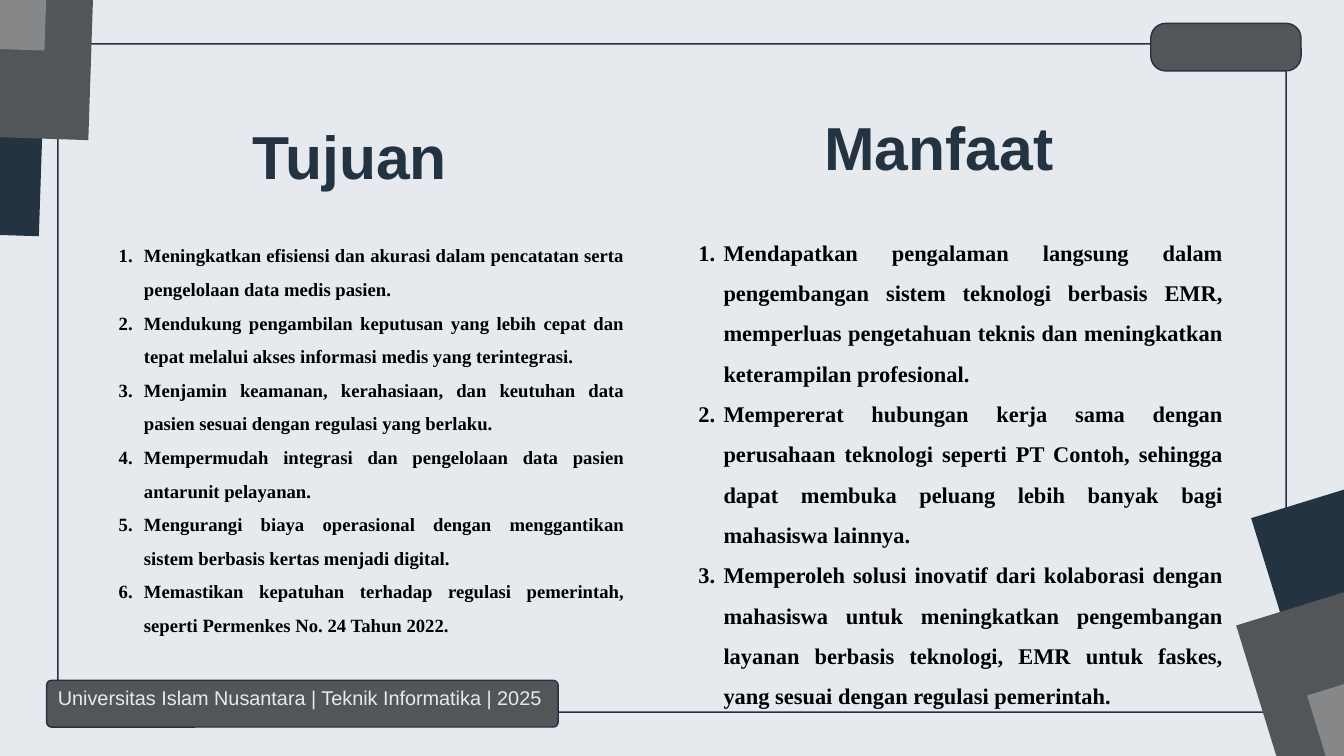
from lxml import etree
from pptx import Presentation
from pptx.dml.color import RGBColor
from pptx.enum.shapes import MSO_SHAPE
from pptx.enum.text import MSO_ANCHOR, MSO_AUTO_SIZE, PP_ALIGN
from pptx.oxml.ns import qn
from pptx.util import Pt

RECTANGLE, ROUNDED = MSO_SHAPE.RECTANGLE, MSO_SHAPE.ROUNDED_RECTANGLE
TOP, FIT = MSO_ANCHOR.TOP, MSO_AUTO_SIZE.SHAPE_TO_FIT_TEXT
LEFT, CENTER, JUSTIFY = PP_ALIGN.LEFT, PP_ALIGN.CENTER, PP_ALIGN.JUSTIFY
PAPER, NAVY, SLATE, GREY, BLACK = "E6EAEF", "243342", "535659", "858789", "000000"
SANS, SERIF = "Arial", "Times New Roman"

GOALS = [
    "Meningkatkan efisiensi dan akurasi dalam pencatatan serta pengelolaan data medis pasien.",
    "Mendukung pengambilan keputusan yang lebih cepat dan tepat melalui akses informasi medis yang terintegrasi.",
    "Menjamin keamanan, kerahasiaan, dan keutuhan data pasien sesuai dengan regulasi yang berlaku.",
    "Mempermudah integrasi dan pengelolaan data pasien antarunit pelayanan.",
    "Mengurangi biaya operasional dengan menggantikan sistem berbasis kertas menjadi digital.",
    "Memastikan kepatuhan terhadap regulasi pemerintah, seperti Permenkes No. 24 Tahun 2022.",
]
BENEFITS = [
    "Mendapatkan pengalaman langsung dalam pengembangan sistem teknologi berbasis EMR, memperluas "
    "pengetahuan teknis dan meningkatkan keterampilan profesional.",
    "Mempererat hubungan kerja sama dengan perusahaan teknologi seperti PT Contoh, sehingga dapat "
    "membuka peluang lebih banyak bagi mahasiswa lainnya.",
    "Memperoleh solusi inovatif dari kolaborasi dengan mahasiswa untuk meningkatkan pengembangan "
    "layanan berbasis teknologi, EMR untuk faskes, yang sesuai dengan regulasi pemerintah.",
]


def color(hex_string):
    """Turn a hex string into a colour."""
    return RGBColor.from_string(hex_string)


def place(shape, box):
    """Move a shape to a box of left, top, width and height in points."""
    shape.left, shape.top, shape.width, shape.height = map(Pt, box)


def add_block(slide, preset, box, fill):
    """Add a flat filled shape without an outline."""
    block = slide.shapes.add_shape(preset, *map(Pt, box))
    block.shadow.inherit = False
    block.fill.solid()
    block.fill.fore_color.rgb = color(fill)
    block.line.fill.background()
    return block


def add_panel(slide, box, fill, radius):
    """Add an outlined panel with corners of the given radius."""
    panel = add_block(slide, ROUNDED, box, fill)
    panel.adjustments[0] = radius / min(box[2:])
    panel.line.color.rgb = color(NAVY)
    panel.line.width = Pt(1.5)


def add_corner(slide, corners, angle):
    """Stack three tilted squares in navy, slate and grey."""
    for (left, top), fill in zip(corners, (NAVY, SLATE, GREY)):
        square = add_block(slide, RECTANGLE, (left, top, 437, 439), fill)
        square.rotation = angle


def prepare_frame(frame, margin):
    """Make a text frame wrap, start at the top and fit its text."""
    frame.word_wrap = True
    frame.vertical_anchor = TOP
    frame.auto_size = FIT
    frame.margin_left = frame.margin_right = Pt(2 * margin)
    frame.margin_top = frame.margin_bottom = Pt(margin)


def style_paragraph(paragraph, align, spacing, size, family, fill, bold):
    """Set the alignment, line spacing and font of a paragraph."""
    paragraph.alignment = align
    paragraph.line_spacing = spacing
    font = paragraph.font
    font.size, font.name, font.bold = Pt(size), family, bold
    font.color.rgb = color(fill)


def fill_heading(heading, box, text):
    """Write a column heading."""
    place(heading, box)
    prepare_frame(heading.text_frame, 0)
    heading.text_frame.text = text
    paragraph = heading.text_frame.paragraphs[0]
    paragraph.space_before = Pt(0)
    style_paragraph(paragraph, CENTER, Pt(59.8), 65, SANS, NAVY, True)


def fill_list(column, box, items, size):
    """Write a justified numbered list."""
    place(column, box)
    frame = column.text_frame
    prepare_frame(frame, 3.6)
    frame.text = "\n".join(items)
    for paragraph in frame.paragraphs:
        paragraph.space_before = paragraph.space_after = Pt(0)
        paragraph.line_spacing = 1.5
        properties = paragraph._p.get_or_add_pPr()
        properties.set("marL", str(Pt(27)))
        properties.set("indent", str(Pt(-27)))
        etree.SubElement(properties, qn("a:buFont"), typeface="+mj-lt")
        etree.SubElement(properties, qn("a:buAutoNum"), type="arabicPeriod")
        style_paragraph(paragraph, JUSTIFY, 1.5, size, SERIF, BLACK, True)
    frame.paragraphs[-1].space_after = Pt(8)


def add_footer(slide, box, text):
    """Add the footer panel and its caption."""
    left, top, width, height = box
    add_panel(slide, box, SLATE, 5)
    caption = slide.shapes.add_textbox(Pt(left + 12), Pt(top + 1), Pt(width + 7), Pt(36))
    prepare_frame(caption.text_frame, 0)
    caption.text_frame.text = text
    style_paragraph(caption.text_frame.paragraphs[0], LEFT, Pt(29.9), 21.3, SANS, PAPER, False)


def add_decor(slide):
    """Draw the page frame, corner squares, tag and footer."""
    add_panel(slide, (62, 47, 1316, 716), PAPER, 7)
    add_corner(slide, [(-389, -192), (-336, -295), (-383, -391)], 271.9)
    add_corner(slide, [(1396, 480), (1380, 595), (1456, 670)], 72.9)
    add_panel(slide, (1233, 25, 161, 51), SLATE, 16)
    add_footer(slide, (50, 729, 548, 50), "Universitas Islam Nusantara | Teknik Informatika | 2025")


def main():
    """Build and save the slide."""
    deck = Presentation()
    deck.slide_width, deck.slide_height = Pt(1440), Pt(810)
    slide = deck.slides.add_slide(deck.slide_layouts.get_by_name("Comparison"))
    slide.background.fill.solid()
    slide.background.fill.fore_color.rgb = color(PAPER)
    add_decor(slide)

    parts = {part.placeholder_format.idx: part for part in slide.placeholders}
    spare = parts.pop(1).element
    spare.getparent().remove(spare)
    tree = slide.shapes.element
    for part in parts.values():
        tree.append(part.element)

    fill_heading(parts[0], (116, 145, 518, 64), "Tujuan")
    fill_list(parts[2], (120, 246, 556, 439), GOALS, 20)
    fill_heading(parts[3], (747, 136, 518, 64), "Manfaat")
    fill_list(parts[4], (741, 238, 576, 526), BENEFITS, 24)
    deck.save("out.pptx")


if __name__ == "__main__":
    main()
